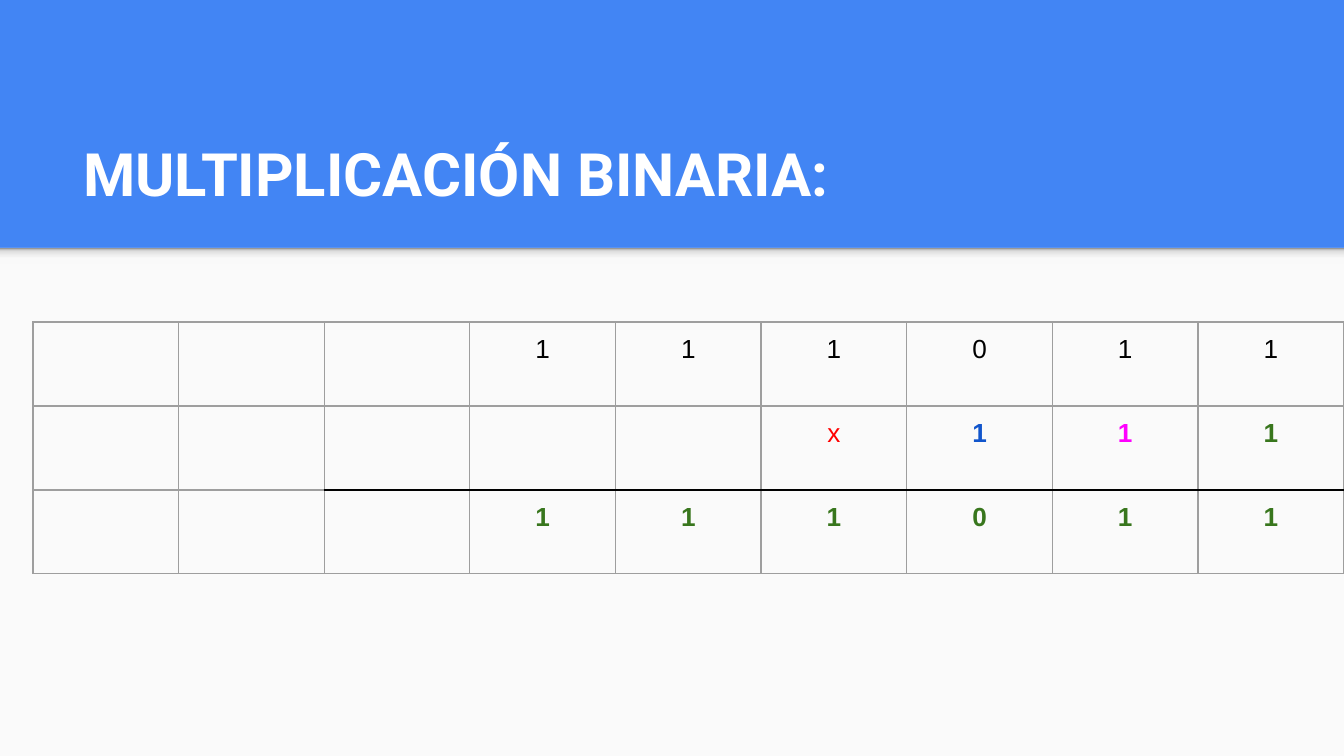
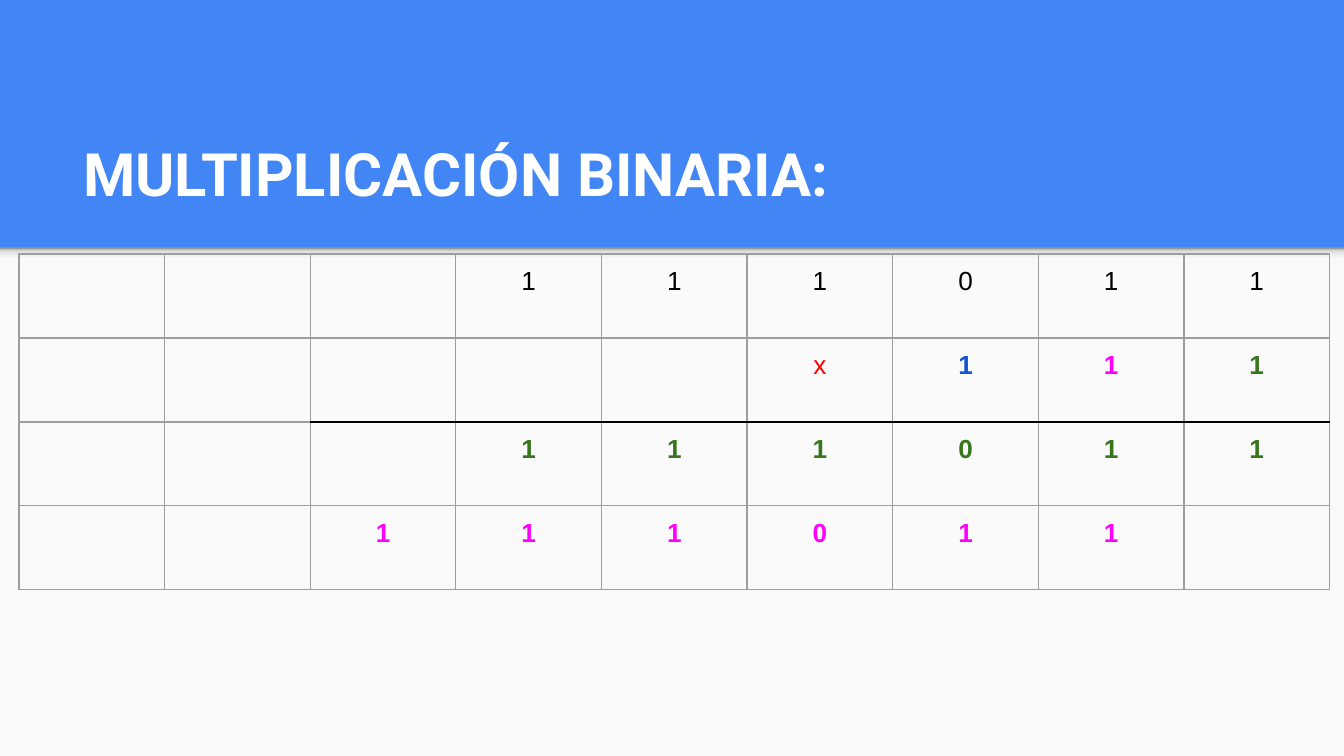
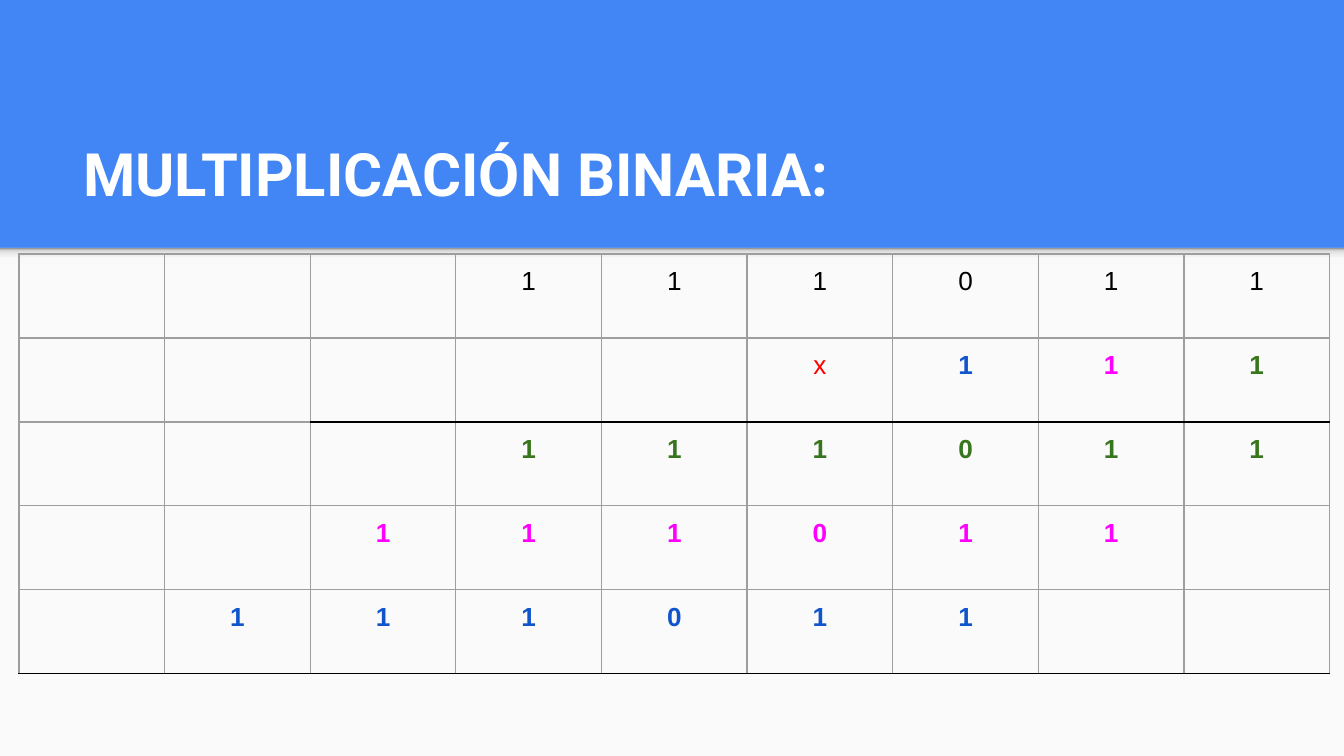
from pptx import Presentation
from pptx.dml.color import RGBColor
from pptx.enum.shapes import MSO_SHAPE
from pptx.enum.text import MSO_ANCHOR, MSO_AUTO_SIZE, PP_ALIGN
from pptx.oxml import parse_xml
from pptx.oxml.ns import nsdecls
from pptx.util import Pt

TITLE = "MULTIPLICACIÓN BINARIA:"
COLORS = {
    "blue": "4285F4", "panel": "FAFAFA", "white": "FFFFFF", "grid": "9E9E9E",
    "black": "000000", "red": "FF0000", "navy": "1155CC", "pink": "FF00FF",
    "green": "38761D",
}
SHADE = [(0, "F9F9F9"), (36, "F9F9F9"), (80, "DEDEDE"), (100, "999999")]

ROWS = [
    ("   111011", ["black"] * 9),
    ("     x111", ["black"] * 5 + ["red", "navy", "pink", "green"]),
    ("   111011", ["green"] * 9),
    ("  111011 ", ["pink"] * 9),
    (" 111011  ", ["navy"] * 9),
]
RULES = {1: 2, 4: 0}
SLIDES = [(33, 322, 3), (19, 254, 4), (19, 254, 5)]

WIDTH, HEIGHT, BAND = 1344, 756, 248
TABLE_WIDTH, ROW_HEIGHT, INSET = 1311, 84, 13


def px(n):
    return round(n * 914400 / 134.4)


def rgb(name):
    return RGBColor.from_string(COLORS[name])


def set_insets(box):
    box.margin_left = box.margin_top = box.margin_right = box.margin_bottom = px(INSET)


def set_font(p, name, size, color, bold):
    p.font.name = name
    p.font.size = Pt(size)
    p.font.bold = bold
    p.font.color.rgb = rgb(color)


def add_rect(s, top, height):
    sp = s.shapes.add_shape(MSO_SHAPE.RECTANGLE, 0, px(top), px(WIDTH), px(height))
    sp.shadow.inherit = False
    sp.line.fill.background()
    return sp


def add_backdrop(s):
    panel = add_rect(s, BAND, HEIGHT - BAND)
    panel.fill.solid()
    panel.fill.fore_color.rgb = rgb("panel")
    shade = add_rect(s, BAND, 16)
    stops = "".join(
        f'<a:gs pos="{pos * 1000}"><a:srgbClr val="{color}"/></a:gs>'
        for pos, color in SHADE
    )
    shade._element.spPr.insert(2, parse_xml(
        f'<a:gradFill {nsdecls("a")}><a:gsLst>{stops}</a:gsLst>'
        '<a:lin ang="16200000" scaled="0"/></a:gradFill>'
    ))


def add_title(s):
    title = s.shapes.title
    title.left, title.top, title.width, title.height = map(px, (70, 109, 1208, 113))
    tf = title.text_frame
    tf.text = TITLE
    tf.word_wrap = True
    tf.auto_size = MSO_AUTO_SIZE.NONE
    tf.vertical_anchor = MSO_ANCHOR.BOTTOM
    set_insets(tf)
    p = tf.paragraphs[0]
    p.alignment = PP_ALIGN.LEFT
    set_font(p, "Roboto", 32, "white", True)


def is_ruled(row, col):
    return row in RULES and col >= RULES[row]


def set_borders(cell, row, col):
    sides = {
        "lnL": "grid", "lnR": "grid",
        "lnT": "black" if is_ruled(row - 1, col) else "grid",
        "lnB": "black" if is_ruled(row, col) else "grid",
    }
    tcPr = cell._tc.get_or_add_tcPr()
    for i, (tag, color) in enumerate(sides.items()):
        tcPr.insert(i, parse_xml(
            f'<a:{tag} {nsdecls("a")} w="{Pt(0.75)}"><a:solidFill>'
            f'<a:srgbClr val="{COLORS[color]}"/></a:solidFill></a:{tag}>'
        ))


def add_product(s, left, top, count):
    frame = s.shapes.add_table(
        count, 9, px(left), px(top), px(TABLE_WIDTH), px(ROW_HEIGHT * count))
    table = frame.table
    table.first_row = table.horz_banding = False
    for row, (digits, colors) in enumerate(ROWS[:count]):
        for col, (digit, color) in enumerate(zip(digits, colors)):
            cell = table.cell(row, col)
            cell.fill.background()
            set_insets(cell)
            set_borders(cell, row, col)
            p = cell.text_frame.paragraphs[0]
            p.text = digit.strip()
            p.alignment = PP_ALIGN.CENTER
            set_font(p, "Arial", 14, color, color not in ("black", "red"))


def main():
    prs = Presentation()
    prs.slide_width, prs.slide_height = px(WIDTH), px(HEIGHT)
    fill = prs.slide_master.background.fill
    fill.solid()
    fill.fore_color.rgb = rgb("blue")
    for left, top, count in SLIDES:
        s = prs.slides.add_slide(prs.slide_layouts[5])
        add_backdrop(s)
        add_title(s)
        add_product(s, left, top, count)
    prs.save("out.pptx")


if __name__ == "__main__":
    main()
